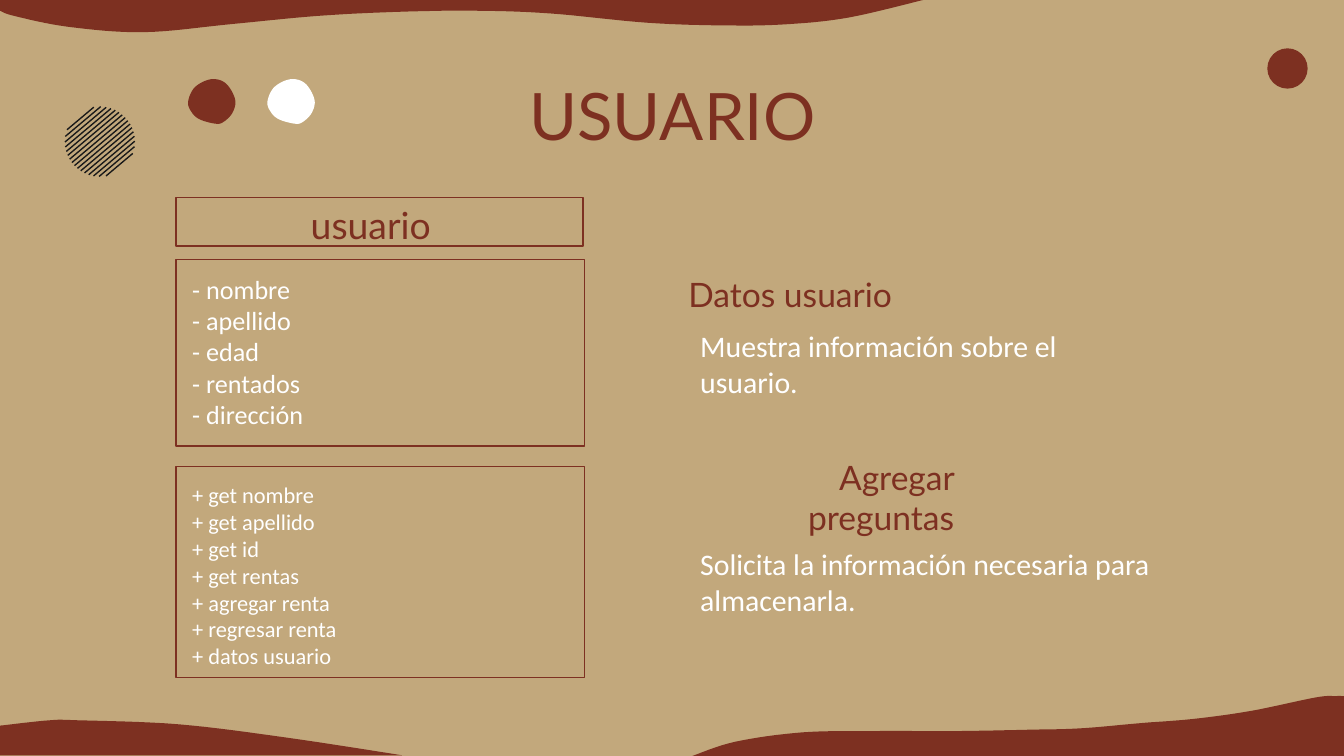
from pptx import Presentation
from pptx.dml.color import RGBColor
from pptx.enum.shapes import MSO_SHAPE as Shape
from pptx.enum.text import MSO_ANCHOR as Anchor, PP_ALIGN as Align
from pptx.util import Inches, Pt
from math import hypot, sqrt

SAND = RGBColor(0xC2, 0xA8, 0x7C)
BRICK = RGBColor(0x7D, 0x30, 0x21)
INK = RGBColor(0x19, 0x19, 0x19)
WHITE = RGBColor(0xFF, 0xFF, 0xFF)
HEADING, BODY = "Lato", "Calibri"
STEPS = 8

TOP_WAVE = [(0, 0.08), (0.11, 0.12), (0.51, 0.2), (1.07, 0.24), (1.72, 0.18),
            (2.35, 0.12), (2.92, 0.09), (3.51, 0.08), (4.09, 0.1), (4.82, 0.17),
            (5.42, 0.19), (5.87, 0.18), (6.32, 0.13), (6.87, 0)]
LEFT_WAVE = [(0, 0.04), (0.37, 0), (0.58, 0), (1.33, 0.03), (2.14, 0.13), (2.99, 0.26)]
RIGHT_WAVE = [(0, 0.45), (0.33, 0.34), (0.83, 0.27), (1.37, 0.26), (2, 0.26),
              (2.52, 0.25), (2.9, 0.24), (3.36, 0.2), (3.74, 0.17), (4.17, 0.11),
              (4.65, 0.01), (4.8, 0), (4.86, 0)]
BLOB = [(0.17, 0), (0.05, 0.06), (0, 0.17), (0.03, 0.25), (0.09, 0.3),
        (0.2, 0.33), (0.26, 0.32), (0.33, 0.25), (0.35, 0.15), (0.28, 0.03)]


def spline(points, closed=False):
    """Return points along a smooth (Catmull-Rom) curve through the given points."""
    if closed:
        points = [points[-1], *points, *points[:2]]
    else:
        points = [points[0], *points, points[-1]]
    curve = [points[1]]
    for a, b, c, d in zip(points, points[1:], points[2:], points[3:]):
        for step in range(1, STEPS + 1):
            t = step / STEPS
            curve.append(tuple(
                q + t * (r - p) / 2 + t**2 * (p - 2.5 * q + 2 * r - s / 2)
                + t**3 * (1.5 * (q - r) + (s - p) / 2)
                for p, q, r, s in zip(a, b, c, d)))
    return curve


def add_outline(shapes, left, top, points, color):
    corners = [(Inches(left + x), Inches(top + y)) for x, y in points]
    builder = shapes.build_freeform(*corners[0])
    builder.add_line_segments(corners[1:], close=True)
    outline = builder.convert_to_shape()
    outline.shadow.inherit = False
    outline.fill.solid()
    outline.fill.fore_color.rgb = color
    outline.line.fill.background()


def add_wave(page, left, top, crest, base):
    """Fill the area between a wavy edge and the straight level base."""
    ends = [(crest[-1][0], base), (crest[0][0], base)]
    add_outline(page.shapes, left, top, spline(crest) + ends, BRICK)


def add_striped_disc(page, center_x, center_y, radius, count=16, gap=0.03, thickness=0.01):
    """Group slanted stripes, each cut to a chord of the disc."""
    group = page.shapes.add_group_shape()
    length = hypot(0.76, 0.64)
    along_x, along_y = 0.76 / length, -0.64 / length
    for index in range(count):
        offset = (index - (count - 1) / 2) * gap
        half = sqrt(radius**2 - offset**2)
        corners = [(u * along_x - v * along_y, u * along_y + v * along_x)
                   for u, v in ((-half, offset), (half, offset),
                                (half, offset + thickness), (-half, offset + thickness))]
        add_outline(group.shapes, center_x, center_y, corners, INK)


def add_dot(page, left, top, size):
    dot = page.shapes.add_shape(Shape.OVAL, *map(Inches, (left, top, size, size)))
    dot.shadow.inherit = False
    dot.fill.solid()
    dot.fill.fore_color.rgb = BRICK
    dot.line.fill.background()


def add_frame(page, left, top, width, height):
    frame = page.shapes.add_shape(Shape.RECTANGLE, *map(Inches, (left, top, width, height)))
    frame.shadow.inherit = False
    frame.fill.background()
    frame.line.color.rgb = BRICK
    frame.line.width = Pt(0.75)


def add_text(page, left, top, width, height, lines, size, font, color, align=Align.LEFT):
    box = page.shapes.add_textbox(*map(Inches, (left, top, width, height)))
    frame = box.text_frame
    frame.word_wrap = True
    frame.vertical_anchor = Anchor.MIDDLE
    frame.margin_left = frame.margin_right = frame.margin_top = frame.margin_bottom = 0
    for index, line in enumerate(lines):
        para = frame.add_paragraph() if index else frame.paragraphs[0]
        para.text = line
        para.alignment = align
        para.font.size = Pt(size)
        para.font.name = font
        para.font.color.rgb = color


def add_background(page):
    page.background.fill.solid()
    page.background.fill.fore_color.rgb = SAND
    add_wave(page, 0, 0, TOP_WAVE, 0)
    add_wave(page, 5.14, 5.18, RIGHT_WAVE, 0.45)
    add_dot(page, 9.43, 0.36, 0.3)
    add_striped_disc(page, 0.74, 1.05, 0.26)
    add_wave(page, 0, 5.36, LEFT_WAVE, 0.26)


def add_class_diagram(page, left, top):
    add_frame(page, left, top + 0.46, 3.04, 1.39)
    add_frame(page, left, top, 3.03, 0.36)
    add_frame(page, left, top + 2, 3.04, 1.57)
    add_text(page, left + 0.67, top + 0.04, 1.56, 0.32, ["usuario"],
             20, HEADING, BRICK, Align.CENTER)
    add_text(page, left + 0.12, top + 0.52, 2.82, 1.25,
             ["- nombre", "- apellido", "- edad", "- rentados", "- dirección"],
             14, BODY, WHITE)
    add_text(page, left + 0.12, top + 2.32, 2.4, 0.98,
             ["+ get nombre", "+ get apellido", "+ get id", "+ get rentas",
              "+ agregar renta", "+ regresar renta", "+ datos usuario"],
             12, BODY, WHITE)


def add_descriptions(page, left, top):
    add_text(page, left, top, 2.46, 0.55, ["Datos usuario"], 18, HEADING, BRICK, Align.CENTER)
    add_text(page, left + 0.56, top + 0.49, 3.35, 0.61,
             ["Muestra información sobre el usuario."], 16, BODY, WHITE)
    add_text(page, left + 0.45, top + 1.69, 2, 0.2,
             ["Agregar preguntas"], 18, HEADING, BRICK, Align.RIGHT)
    add_text(page, left + 0.56, top + 2.11, 3.55, 0.61,
             ["Solicita la información necesaria para almacenarla."], 16, BODY, WHITE)


def main():
    deck = Presentation()
    deck.slide_width = Inches(10)
    deck.slide_height = deck.slide_width * 9 // 16
    page = deck.slides.add_slide(deck.slide_layouts[6])
    add_background(page)
    add_text(page, 0.79, 0.59, 8.43, 0.52, ["USUARIO"], 35, HEADING, BRICK, Align.CENTER)
    add_class_diagram(page, 1.31, 1.47)
    add_descriptions(page, 4.65, 1.91)
    for left, color in ((1.4, BRICK), (1.99, WHITE)):
        add_outline(page.shapes, left, 0.59, spline(BLOB, closed=True), color)
    deck.save("out.pptx")


if __name__ == "__main__":
    main()
